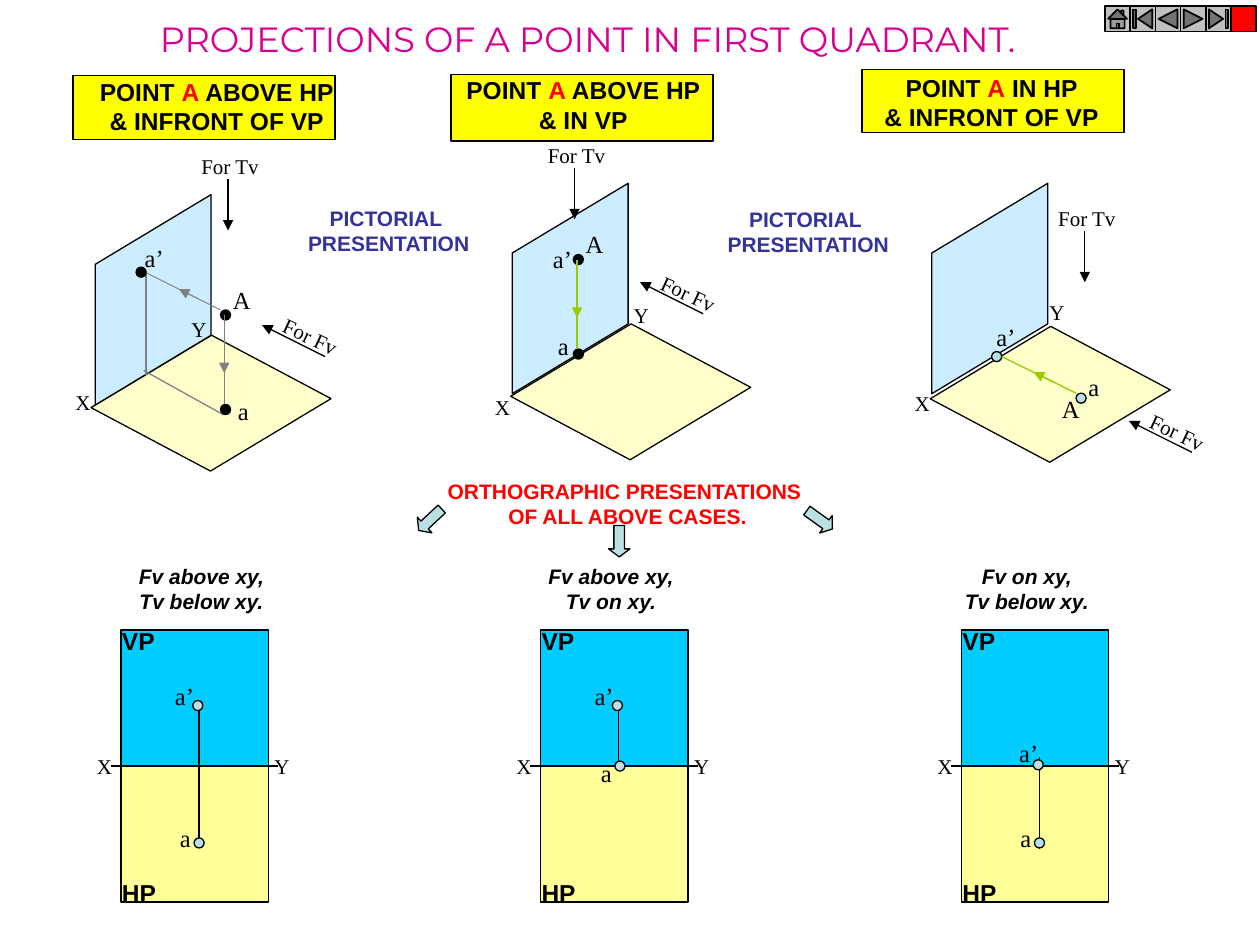
from lxml import etree
from pptx import Presentation
from pptx import util as u
from pptx.dml.color import RGBColor
from pptx.enum import shapes, text
from pptx.oxml import ns

Inches = u.Inches
SHAPE = shapes.MSO_SHAPE
SERIF, SANS, DISPLAY = "Times New Roman", "Arial", "Montserrat"
C = {
    "black": "000000", "red": "FF0000", "yellow": "FFFF00", "title": "D60093",
    "indigo": "333399", "gray": "808080", "green": "99CC00", "button": "C0C0C0",
    "pale": "BBE0E3", "vp_plane": "CCECFF", "hp_plane": "FFFFCC",
    "vp": "00CCFF", "hp": "FFFF99",
}


def rgb(name):
    return RGBColor.from_string(C[name])


def add_shape(s, kind, x, y, w, h, fill, rot=0, width=0.75):
    sp = s.shapes.add_shape(kind, Inches(x), Inches(y), Inches(w), Inches(h))
    sp.shadow.inherit = False
    sp.rotation = rot
    sp.fill.solid()
    sp.fill.fore_color.rgb = rgb(fill)
    sp.line.color.rgb = rgb("black")
    sp.line.width = u.Pt(width)
    return sp


def add_line(s, x1, y1, x2, y2, color="black", width=0.75, arrow=False):
    ln = s.shapes.add_connector(shapes.MSO_CONNECTOR.STRAIGHT, Inches(x1), Inches(y1),
                                Inches(x2), Inches(y2))
    ln.line.color.rgb = rgb(color)
    ln.line.width = u.Pt(width)
    if arrow:
        etree.SubElement(ln.line._get_or_add_ln(), ns.qn("a:tailEnd"), type="triangle")
    etree.SubElement(ln._element.spPr, ns.qn("a:effectLst"))


def add_text(s, x, y, w, h, lines, size=12, font=SERIF, color="black", bold=False,
             italic=False, center=False, wrap=False, rot=0):
    tb = s.shapes.add_textbox(Inches(x), Inches(y), Inches(w), Inches(h))
    tb.rotation = rot
    tf = tb.text_frame
    tf.word_wrap = wrap
    for i, line in enumerate(lines):
        p = tf.paragraphs[0] if i == 0 else tf.add_paragraph()
        p.alignment = text.PP_ALIGN.CENTER if center else text.PP_ALIGN.LEFT
        for part, tint in [(line, color)] if isinstance(line, str) else line:
            r = p.add_run()
            r.text = part
            r.font.size, r.font.name = u.Pt(size), font
            r.font.bold, r.font.italic = bold, italic
            r.font.color.rgb = rgb(tint)


def add_dot(s, x, y, fill):
    add_shape(s, SHAPE.OVAL, x, y, 0.08, 0.08, fill)


def add_label(s, x, y, label):
    add_text(s, x, y, 0.35, 0.33, [label], size=14)


def axis_label(s, x, y, label):
    add_text(s, x, y, 0.32, 0.3, [label])


def plane(s, x, y, rot, fill):
    sp = add_shape(s, SHAPE.PARALLELOGRAM, x, y, 1.67, 0.92, fill, rot)
    sp.adjustments[0] = 0.602
    sp._element.spPr.find(ns.qn("a:xfrm")).set("flipV", "1")


def projector(s, x1, y1, x2, y2, color, width, tip):
    add_line(s, x1, y1, x2, y2, color, width)
    dx, dy = x2 - x1, y2 - y1
    add_line(s, x1 + 0.3 * dx, y1 + 0.3 * dy, x1 + tip * dx, y1 + tip * dy, color, width, True)


def banner(s, x, y, h, text_dx, text_dy, ending, second):
    add_shape(s, SHAPE.RECTANGLE, x, y, 2.08, h, "yellow")
    first = [("POINT ", "black"), ("A", "red"), (ending, "black")]
    add_text(s, x + text_dx, y + text_dy, 2.6, 0.57, [first, second], size=14, font=SANS,
             bold=True, center=True, wrap=True)


def pictorial(s, x, y, case):
    px, py = case["vp"]
    plane(s, x + 0.34, y + case["hp_y"], 329, "hp_plane")
    plane(s, x + px, y + py, 90, "vp_plane")
    for x1, y1, x2, y2 in case.get("traces", []):
        add_line(s, x + x1, y + y1, x + x2, y + y2, "gray")
    for dx, dy in case["dots"]:
        add_dot(s, x + dx, y + dy, case["dot_fill"])
    for x1, y1, x2, y2, tip in case["projectors"]:
        projector(s, x + x1, y + y1, x + x2, y + y2, *case["ray"], tip)
    for label, dx, dy in case["labels"]:
        add_label(s, x + dx, y + dy, label)
    axis_label(s, x, y + case["x_y"], "X")
    axis_label(s, x + case["y"][0], y + case["y"][1], "Y")
    top_view(s, x + case["tv"][0], y + case["tv"][1])
    front_view(s, x + case["fv"][0], y + case["fv"][1])


def top_view(s, x, y):
    add_line(s, x + 0.31, y + 0.25, x + 0.31, y + 0.66, arrow=True)
    add_text(s, x, y, 0.66, 0.3, ["For Tv"])


def front_view(s, x, y):
    add_line(s, x + 0.44, y + 0.31, x - 0.06, y + 0.06, arrow=True)
    add_text(s, x, y, 0.65, 0.3, ["For Fv"], rot=24.9)


def orthographic(s, x, y, caption_dx, caption, ray, points):
    add_text(s, x + caption_dx, y - 0.58, 1.2, 0.5, caption, font=SANS, bold=True,
             italic=True, center=True)
    axis_label(s, x - 0.29, y + 0.93, "X")
    axis_label(s, x + 1.12, y + 0.93, "Y")
    add_shape(s, SHAPE.RECTANGLE, x, y, 1.17, 1.08, "vp")
    add_shape(s, SHAPE.RECTANGLE, x, y + 1.08, 1.17, 1.08, "hp")
    add_line(s, x + 0.62, y + ray[0], x + 0.62, y + ray[1])
    add_line(s, x - 0.08, y + 1.08, x + 1.25, y + 1.08, width=1.5)
    for name, dy in (("VP", -0.08), ("HP", 1.92)):
        add_text(s, x - 0.09, y + dy, 0.47, 0.33, [name], size=14, font=SANS, bold=True)
    for label, label_x, label_y, dot_x, dot_y in points:
        add_label(s, x + label_x, y + label_y, label)
        add_dot(s, x + dot_x, y + dot_y, "pale")


def section_heading(s, x, y):
    add_text(s, x, y, 3.08, 0.5, ["ORTHOGRAPHIC PRESENTATIONS ", "OF ALL ABOVE CASES."],
             font=SANS, color="red", bold=True, center=True)
    for dx, dy, rot in ((1.39, 0.42, 0), (-0.11, 0.25, 47), (2.98, 0.25, 305.7)):
        sp = add_shape(s, SHAPE.DOWN_ARROW, x + dx, y + dy, 0.17, 0.25, "pale", rot)
        sp.adjustments[0], sp.adjustments[1] = 0.5, 0.375


def navigation(s, x, y):
    kinds = (SHAPE.ACTION_BUTTON_HOME, SHAPE.ACTION_BUTTON_BEGINNING,
             SHAPE.ACTION_BUTTON_BACK_OR_PREVIOUS, SHAPE.ACTION_BUTTON_FORWARD_OR_NEXT,
             SHAPE.ACTION_BUTTON_END, SHAPE.ACTION_BUTTON_CUSTOM)
    for i, kind in enumerate(kinds):
        fill = "red" if kind == SHAPE.ACTION_BUTTON_CUSTOM else "button"
        add_shape(s, kind, x + 0.2 * i, y, 0.2, 0.2, fill, width=1)


BANNERS = [
    (0.58, 0.6, 0.51, -0.16, -0.04, " ABOVE HP", "& INFRONT OF VP"),
    (3.58, 0.59, 0.53, -0.25, -0.04, " ABOVE HP", "& IN VP"),
    (6.84, 0.55, 0.5, -0.27, -0.02, " IN HP", "& INFRONT OF VP"),
]
PICTORIALS = [
    (0.5, 1.17, dict(
        vp=(-0.12, 0.75), hp_y=1.57, x_y=1.87, y=(0.92, 1.29), tv=(1, 0), fv=(1.64, 1.35),
        dots=[(1.25, 1.29), (0.58, 0.95), (1.25, 2.04)], dot_fill="black",
        ray=("gray", 0.5),
        projectors=[(1.28, 1.33, 1.28, 2.04, 0.65), (1.25, 1.29, 0.67, 1, 0.57)],
        traces=[(0.66, 0.98, 0.66, 1.81), (0.64, 1.77, 1.27, 2.12)],
        labels=[("A", 1.25, 1.04), ("a", 1.29, 1.92), ("a’", 0.55, 0.71)])),
    (3.83, 1.08, dict(
        vp=(-0.14, 0.75), hp_y=1.57, x_y=2, y=(1.1, 1.27), tv=(0.42, 0), fv=(1.31, 1.1),
        dots=[(0.72, 0.94), (0.72, 1.69)], dot_fill="black", ray=("green", 0.75),
        projectors=[(0.75, 0.98, 0.75, 1.69, 0.65)],
        labels=[("A", 0.72, 0.69), ("a", 0.5, 1.5), ("a’", 0.46, 0.81)])),
    (7.16, 1.08, dict(
        vp=(-0.14, 0.75), hp_y=1.59, x_y=1.97, y=(1.07, 1.25), tv=(1.14, 0.5), fv=(1.86, 2.2),
        dots=[(0.71, 1.71), (1.38, 2.04)], dot_fill="pale", ray=("green", 0.75),
        projectors=[(1.38, 2.04, 0.79, 1.75, 0.57)],
        labels=[("A", 1.17, 2), ("a", 1.38, 1.82), ("a’", 0.65, 1.43)])),
]
FRONT_ABOVE = ("a’", 0.33, 0.36, 0.57, 0.56)
TOP_BELOW = ("a", 0.37, 1.48, 0.58, 1.65)
ORTHOGRAPHICS = [
    (0.96, 0.04, ["Fv above xy,", "Tv below xy."], (0.56, 1.65), [FRONT_ABOVE, TOP_BELOW]),
    (4.29, -0.04, ["Fv above xy,", "Tv on xy."], (0.58, 1.08),
     [FRONT_ABOVE, ("a", 0.38, 0.97, 0.59, 1.04)]),
    (7.63, -0.08, ["Fv on xy,", "Tv below xy."], (1.01, 1.74),
     [("a’", 0.36, 0.81, 0.57, 1.03), TOP_BELOW]),
]


def main():
    prs = Presentation()
    prs.slide_width, prs.slide_height = Inches(10), Inches(7.5)
    s = prs.slides.add_slide(prs.slide_layouts[6])
    add_text(s, 1.17, 0.09, 7.68, 0.43, ["PROJECTIONS OF A POINT IN FIRST QUADRANT."],
             size=20, font=DISPLAY, color="title")
    for args in BANNERS:
        banner(s, *args)
    for args in PICTORIALS:
        pictorial(s, *args)
    for x, y in ((2.33, 1.58), (5.66, 1.59)):
        add_text(s, x, y, 1.51, 0.5, ["PICTORIAL ", "PRESENTATION"], font=SANS,
                 color="indigo", bold=True, center=True)
    section_heading(s, 3.44, 3.75)
    for x, *args in ORTHOGRAPHICS:
        orthographic(s, x, 5, *args)
    navigation(s, 8.77, 0.05)
    prs.save("out.pptx")


if __name__ == "__main__":
    main()
